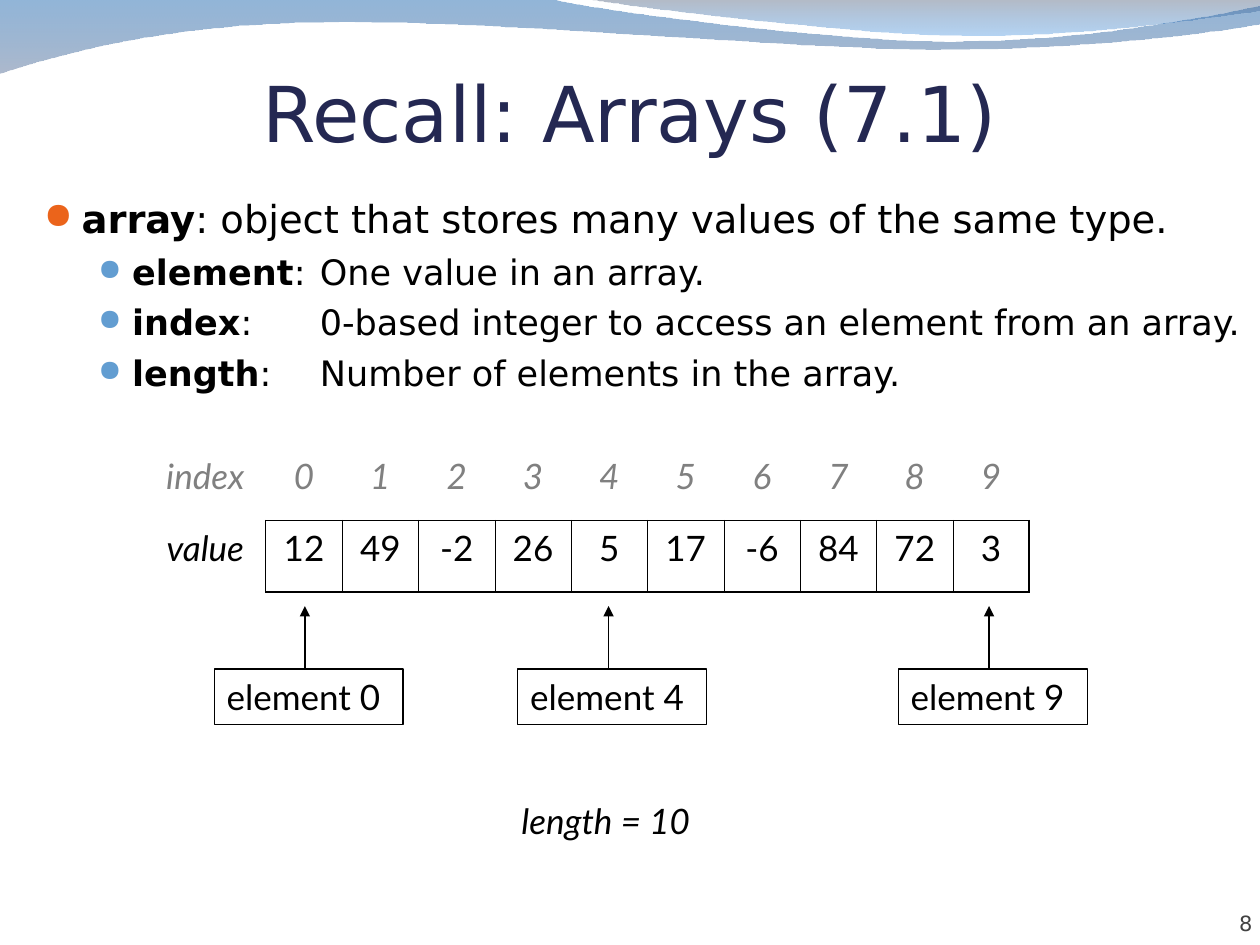
from lxml.etree import SubElement
from pptx import Presentation
from pptx.dml.color import RGBColor
from pptx.enum.shapes import MSO_CONNECTOR as Link, MSO_SHAPE as Shape
from pptx.enum.text import MSO_ANCHOR as Anchor, PP_ALIGN as Align
from pptx.oxml import parse_xml
from pptx.oxml.ns import nsdecls, qn
from pptx.util import Inches, Pt

COLORS = {
    "ink": "000000", "title": "242852", "page": "424242", "index": "808080",
    "dot": "EB641B", "subdot": "629DD1",
    "wave_top": "0E5CA9", "wave_low": "687FA3",
    "crest_top": "576680", "crest_low": "046FDA",
}
SANS, LATO = "DejaVu Sans", "Lato"
PAD = (0.1, 0.05, 0.1, 0.05)
VALUES = [12, 49, -2, 26, 5, 17, -6, 84, 72, 3]
TERMS = [
    ("element", "One value in an array."),
    ("index", "0-based integer to access an element from an array."),
    ("length", "Number of elements in the array."),
]
MARKS = [(0, 2.42), (4, 4.83), (9, 7.85)]
WAVE = [
    [(0, 0)], [(4.4, 0)],
    [(4.76, 0.09), (6.64, 0.33), (7.58, 0.33)],
    [(8.53, 0.33), (9.58, 0.14), (10, 0.05)],
    [(10.01, 0.19)],
    [(9.83, 0.23), (8.7, 0.39), (7.46, 0.39)],
    [(6.22, 0.39), (3.82, 0.15), (2.57, 0.18)],
    [(1.29, 0.19), (0.46, 0.43), (-0.01, 0.58)],
]
CREST = [
    [(4.67, 0)],
    [(4.98, 0.05), (6.74, 0.27), (7.63, 0.28)],
    [(8.52, 0.3), (9.61, 0.14), (10, 0.09)],
    [(10, 0)],
]


def color(name):
    return RGBColor.from_string(COLORS[name])


def write(para, text, size=20, font=LATO, tint="ink", bold=False,
          italic=False, align=None, before=None):
    run = para.add_run()
    run.text = text
    face = run.font
    face.size, face.name, face.bold, face.italic = Pt(size), font, bold, italic
    face.color.rgb = color(tint)
    if align is not None:
        para.alignment = align
    if before is not None:
        para.space_before = Pt(before)


def set_frame(frame, anchor=Anchor.TOP, pad=PAD, wrap=True):
    frame.word_wrap, frame.vertical_anchor = wrap, anchor
    (frame.margin_left, frame.margin_top,
     frame.margin_right, frame.margin_bottom) = map(Inches, pad)


def add_box(slide, x, y, w, h, **format):
    box = slide.shapes.add_textbox(Inches(x), Inches(y), Inches(w), Inches(h))
    set_frame(box.text_frame, **format)
    return box.text_frame


def bend(shape, curves):
    lines = iter(list(shape.element.iter(qn("a:lnTo"))))
    for curve in curves[1:]:
        parts = [next(lines) for point in curve]
        if len(parts) == 3:
            arc = parse_xml(f'<a:cubicBezTo {nsdecls("a")}/>')
            parts[0].addprevious(arc)
            for part in parts:
                arc.append(part[0])
                part.getparent().remove(part)


def add_wave(slide, curves, stops):
    dots = [(Inches(x), Inches(y)) for curve in curves for x, y in curve]
    pen = slide.shapes.build_freeform(*dots[0])
    pen.add_line_segments(dots[1:], close=True)
    wave = pen.convert_to_shape()
    bend(wave, curves)
    wave.shadow.inherit = False
    wave.line.fill.background()
    wave.fill.gradient()
    wave.fill.gradient_angle = 270
    for stop, (tint, alpha) in zip(wave.fill.gradient_stops, stops):
        stop.color.rgb = color(tint)
    for node, (tint, alpha) in zip(wave.element.iter(qn("a:srgbClr")), stops):
        SubElement(node, qn("a:alpha"), val=str(alpha * 1000))


def add_bullet(para, left, hang, tint, size):
    props = para._p.get_or_add_pPr()
    props.set("marL", str(Inches(left)))
    props.set("indent", str(-Inches(hang)))
    hue = SubElement(props, qn("a:buClr"))
    SubElement(hue, qn("a:srgbClr"), val=COLORS[tint])
    SubElement(props, qn("a:buSzPct"), val=str(size * 1000))
    SubElement(props, qn("a:buFont"), typeface="OpenSymbol")
    SubElement(props, qn("a:buChar"), char="●")
    tabs = SubElement(props, qn("a:tabLst"))
    SubElement(tabs, qn("a:tab"), pos=str(Inches(2.19)), algn="l")


def add_body(slide):
    frame = add_box(slide, 0.25, 1.5, 9.75, 5.67)
    para = frame.paragraphs[0]
    write(para, "array", size=22, font=SANS, bold=True, before=5.5)
    write(para, ": object that stores many values of the same type.",
          size=22, font=SANS)
    add_bullet(para, 0.3, 0.3, "dot", 95)
    for term, note in TERMS:
        para = frame.add_paragraph()
        write(para, term, font=SANS, bold=True, before=5)
        write(para, f":\t{note}", font=SANS)
        add_bullet(para, 0.7, 0.27, "subdot", 85)


def set_edges(cell, edges):
    props = cell._tc.get_or_add_tcPr()
    for spot, (side, width) in enumerate(edges):
        props.insert(spot, parse_xml(
            f'<a:ln{side} {nsdecls("a")} w="{Pt(width)}"><a:solidFill>'
            f'<a:srgbClr val="{COLORS["ink"]}"/></a:solidFill></a:ln{side}>'))


def add_grid(slide):
    rows = [["index", *range(len(VALUES))], ["value", *VALUES]]
    last = len(VALUES)
    table = slide.shapes.add_table(2, last + 1, Inches(1.15), Inches(3.56),
                                   Inches(7.02), Inches(1.14)).table
    table.first_row = table.horz_banding = False
    table._tbl.tblPr[0].text = "{2D5ABB26-0587-4C30-8999-92F81FD0307C}"
    for col, column in enumerate(table.columns):
        column.width = Inches((7.02 - 0.96) / last if col else 0.96)
    for row, items in enumerate(rows):
        for col, item in enumerate(items):
            cell = table.cell(row, col)
            cell.fill.background()
            write(cell.text_frame.paragraphs[0], str(item),
                  tint="ink" if row else "index", italic=not (row and col),
                  align=Align.CENTER, before=5)
            if row and col:
                right = 1.08 if col == last else 0.45
                set_edges(cell, [("L", 0.45), ("R", right),
                                 ("T", 0.45), ("B", 1.08)])


def add_arrow(slide, x, start, end):
    arrow = slide.shapes.add_connector(Link.STRAIGHT, Inches(x), Inches(start),
                                       Inches(x), Inches(end))
    arrow.line.color.rgb, arrow.line.width = color("ink"), Pt(0.75)
    SubElement(arrow.line._get_or_add_ln(), qn("a:tailEnd"), type="triangle")
    SubElement(arrow.element.spPr, qn("a:effectLst"))


def add_mark(slide, index, x):
    add_arrow(slide, x, 5.31, 4.81)
    box = slide.shapes.add_shape(Shape.RECTANGLE, Inches(x - 0.72),
                                 Inches(5.31), Inches(1.5), Inches(0.44))
    box.shadow.inherit = False
    box.fill.background()
    box.line.color.rgb, box.line.width = color("ink"), Pt(0.75)
    set_frame(box.text_frame, wrap=False)
    write(box.text_frame.paragraphs[0], f"element {index}", align=Align.LEFT)


def main():
    deck = Presentation()
    deck.slide_width, deck.slide_height = Inches(10), Inches(7.5)
    slide = deck.slides.add_slide(deck.slide_layouts[6])
    add_wave(slide, WAVE, [("wave_top", 45), ("wave_low", 55)])
    add_wave(slide, CREST, [("crest_top", 45), ("crest_low", 30)])
    page = add_box(slide, 9.11, 7.03, 0.83, 0.4, anchor=Anchor.BOTTOM,
                   pad=(0, 0, 0, 0))
    write(page.paragraphs[0], "8", size=12, font=SANS, tint="page",
          align=Align.RIGHT)
    title = add_box(slide, 0.5, 0.48, 9, 0.77, anchor=Anchor.BOTTOM,
                    pad=(0, 0.05, 0, 0))
    write(title.paragraphs[0], "Recall: Arrays (7.1)", size=44, font=SANS,
          tint="title", align=Align.CENTER)
    add_body(slide)
    add_grid(slide)
    for index, x in MARKS:
        add_mark(slide, index, x)
    total = add_box(slide, 4.04, 6.3, 1.59, 0.44, wrap=False)
    write(total.paragraphs[0], f"length = {len(VALUES)}", italic=True,
          align=Align.LEFT)
    deck.save("out.pptx")


if __name__ == "__main__":
    main()
